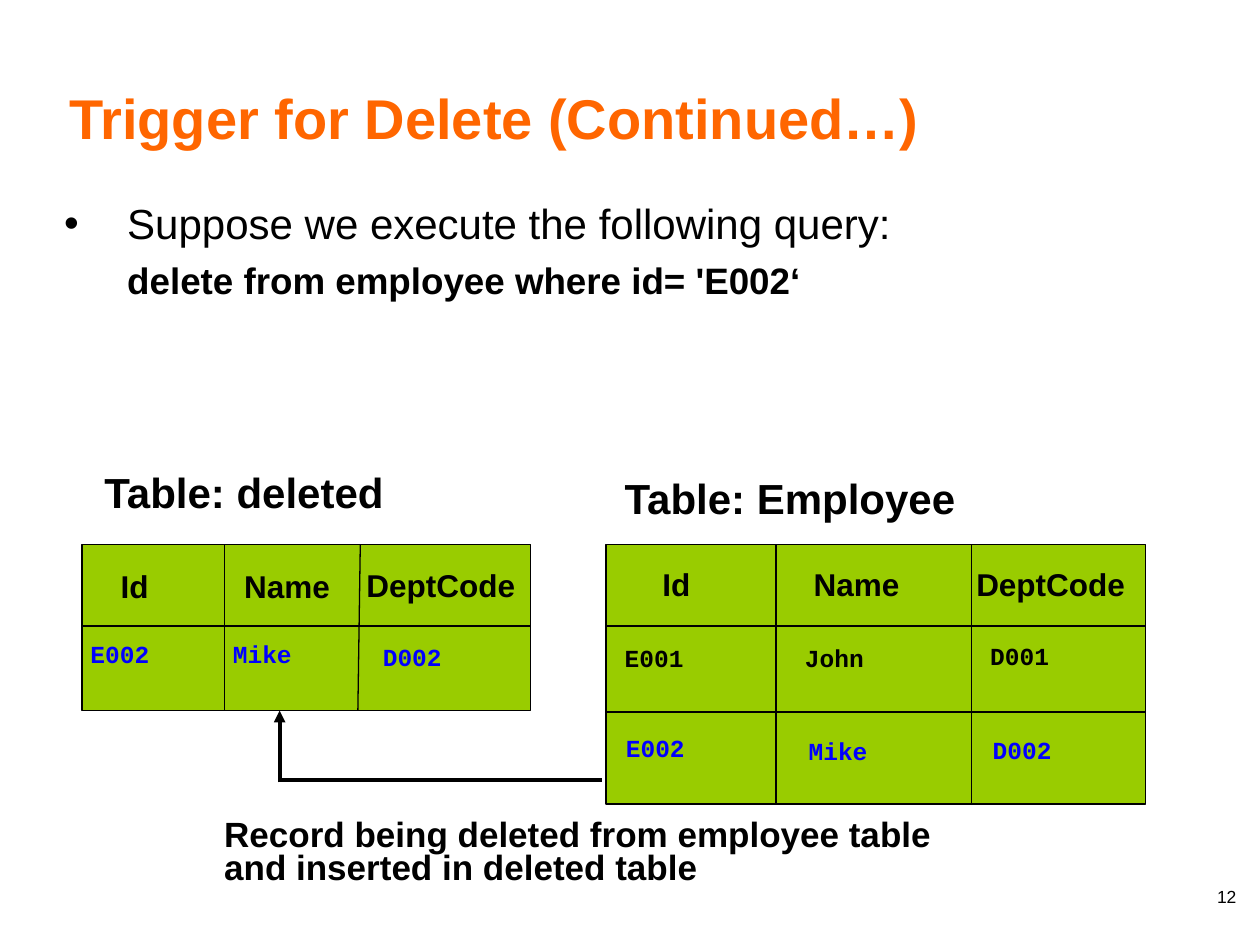
from lxml.etree import SubElement
from pptx import Presentation
from pptx.dml.color import RGBColor
from pptx.enum.shapes import MSO_CONNECTOR as Connector, MSO_SHAPE as Shape
from pptx.enum.text import MSO_ANCHOR as Anchor, MSO_AUTO_SIZE as AutoSize, PP_ALIGN as Align
from pptx.oxml.ns import qn
from pptx.util import Pt

color = RGBColor.from_string
BLACK, BLUE, GREEN, ORANGE = "000000", "0000FF", "99CC00", "FF6600"


def add_run(paragraph, text, size, bold=True, font="Arial", hue=BLACK):
    run = paragraph.add_run()
    run.text = text
    run.font.name = font
    run.font.size = Pt(size)
    run.font.bold = bold
    run.font.color.rgb = color(hue)


def add_line(x1, y1, x2, y2, width=0.75):
    line = slide.shapes.add_connector(Connector.STRAIGHT, Pt(x1), Pt(y1), Pt(x2), Pt(y2))
    line.line.color.rgb = color(BLACK)
    line.line.width = Pt(width)
    SubElement(line._element.spPr, qn("a:effectLst"))
    return line


presentation = Presentation()
presentation.slide_width = Pt(720)
presentation.slide_height = Pt(540)
slide = presentation.slides.add_slide(presentation.slide_layouts[1])

title = slide.shapes.title
title.left, title.top, title.width, title.height = Pt(32.4), Pt(0), Pt(589), Pt(90)
title.text_frame.vertical_anchor = Anchor.BOTTOM
title.text_frame.auto_size = AutoSize.NONE
paragraph = title.text_frame.paragraphs[0]
paragraph.alignment = Align.LEFT
add_run(paragraph, "Trigger for Delete (Continued…)", 32, hue=ORANGE)

body = slide.placeholders[1]
body.left, body.top, body.width, body.height = Pt(29.5), Pt(109.5), Pt(656.6), Pt(390)
body.text_frame.auto_size = AutoSize.NONE
statement = body.text_frame.paragraphs[0]
statement.space_before = Pt(0)
properties = statement._p.get_or_add_pPr()
properties.set("marL", str(Pt(36)))
properties.set("indent", str(Pt(-36)))
SubElement(SubElement(properties, qn("a:buClr")), qn("a:srgbClr")).set("val", BLACK)
SubElement(properties, qn("a:buChar")).set("char", "•")
add_run(statement, "Suppose we execute the following query:", 24, bold=False)

query = body.text_frame.add_paragraph()
query.space_before = Pt(5.2)
properties = query._p.get_or_add_pPr()
properties.set("marL", str(Pt(36)))
properties.set("indent", "0")
SubElement(properties, qn("a:buNone"))
add_run(query, "delete from employee where id= 'E002‘", 21)

grids = [
    (46.8, 256.4, 95, [(128.2, 128.2), (205.9, 204.5)], [357.8]),
    (346.3, 308.2, 148.4, [(443.5, 443.5), (555.1, 555.1)], [357.8, 406.8]),
]
grid_top = 311
for left, width, height, columns, rows in grids:
    grid = slide.shapes.add_shape(Shape.RECTANGLE, Pt(left), Pt(grid_top), Pt(width), Pt(height))
    grid.shadow.inherit = False
    grid.fill.solid()
    grid.fill.fore_color.rgb = color(GREEN)
    grid.line.color.rgb = color(BLACK)
    grid.line.width = Pt(0.75)
    for top_x, bottom_x in columns:
        add_line(top_x, grid_top, bottom_x, grid_top + height)
    for y in rows:
        add_line(left, y, left + width, y)

add_line(161.3, 445.7, 344.2, 445.7, 2.25)
arrow = add_line(159.8, 447.1, 159.8, 406.1, 2.25)
SubElement(arrow.line._get_or_add_ln(), qn("a:tailEnd")).set("type", "triangle")

heading = (18, "Arial", BLACK)
kept = (14, "Courier New", BLACK)
deleted = (14, "Courier New", BLUE)
caption = (24, "Arial", BLACK)
labels = [
    ("Table: deleted", 52.6, 268.6, 245, 30, caption),
    ("Table: Employee", 349.9, 272.2, 269, 30, caption),
    ("Id", 61.9, 324.7, 74, 24.5, heading),
    ("Name", 132.5, 324.7, 66, 24.5, heading),
    ("DeptCode", 202.3, 324, 118, 24.5, heading),
    ("E002", 44.6, 365, 101.5, 21, deleted),
    ("Mike", 126, 364.6, 86.4, 21, deleted),
    ("D002", 211.7, 366.5, 91.4, 21, deleted),
    ("Id", 371.5, 323.3, 124, 24.5, heading),
    ("Name", 457.9, 323.3, 93, 24.5, heading),
    ("DeptCode", 550.8, 323.3, 130, 24.5, heading),
    ("E001", 349.9, 367.2, 119, 21, kept),
    ("John", 452.9, 367.2, 99.4, 21, kept),
    ("D001", 558.7, 365.8, 95, 21, kept),
    ("E002", 350.6, 418.3, 111, 21, deleted),
    ("Mike", 455, 420.5, 87, 21, deleted),
    ("D002", 560.2, 419.8, 97, 21, deleted),
    ("Record being deleted from employee table and inserted in deleted table",
     121, 465.1, 455, 46, (20, "Arial", BLACK)),
]
for text, left, top, width, height, (size, font, hue) in labels:
    label = slide.shapes.add_textbox(Pt(left), Pt(top), Pt(width), Pt(height))
    label.text_frame.word_wrap = True
    label.text_frame.auto_size = AutoSize.SHAPE_TO_FIT_TEXT
    paragraph = label.text_frame.paragraphs[0]
    paragraph.line_spacing = 0.8
    add_run(paragraph, text, size, font=font, hue=hue)

page_number = slide.shapes.add_textbox(Pt(545.8), Pt(502.6), Pt(167.8), Pt(37.4))
page_number.text_frame.word_wrap = True
paragraph = page_number.text_frame.paragraphs[0]
paragraph.alignment = Align.RIGHT
add_run(paragraph, "12", 10, bold=False)

presentation.save("out.pptx")
